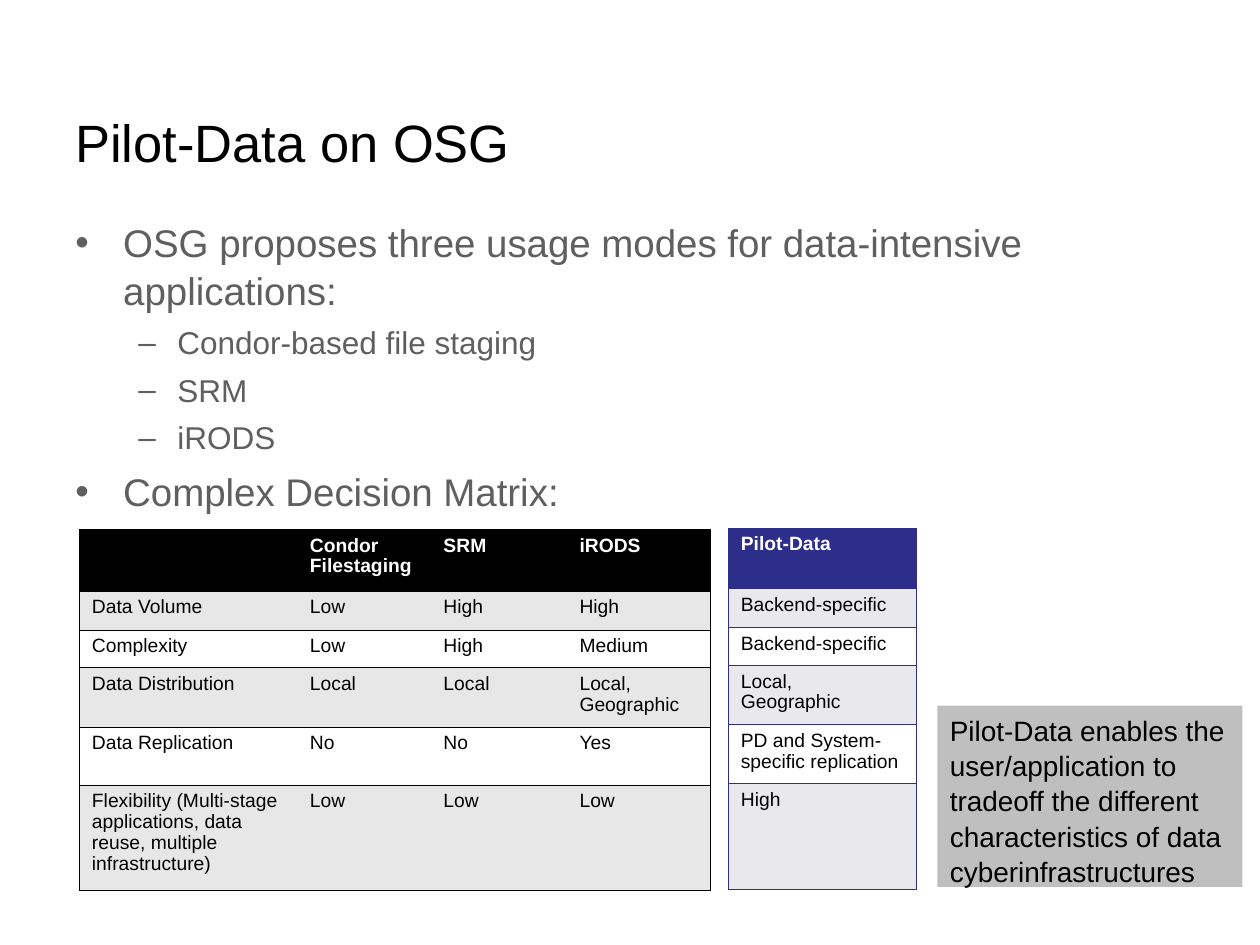
from dataclasses import dataclass

from lxml.etree import SubElement
from pptx import Presentation
from pptx.dml.color import RGBColor
from pptx.enum.shapes import MSO_SHAPE
from pptx.enum.text import MSO_ANCHOR, PP_ALIGN
from pptx.oxml.ns import qn
from pptx.slide import Slide
from pptx.text.text import TextFrame, _Paragraph as Paragraph
from pptx.util import Inches, Pt

BLACK = RGBColor(0x00, 0x00, 0x00)
WHITE = RGBColor(0xFF, 0xFF, 0xFF)
BODY_GRAY = RGBColor(0x5F, 0x5F, 0x5F)
CALLOUT_GRAY = RGBColor(0xBF, 0xBF, 0xBF)
BAND_GRAY = RGBColor(0xE7, 0xE7, 0xE7)
NAVY = RGBColor(0x2D, 0x2D, 0x8A)
BAND_LILAC = RGBColor(0xE8, 0xE8, 0xED)
FONT = "Arial"
LOOSE, TIGHT = 1.05, 0.97
BORDER_WIDTH = Pt(0.45)
PLAIN_TABLE_STYLE = "{2D5ABB26-0587-4C30-8999-92F81FD0307C}"


@dataclass(frozen=True)
class Level:
    bullet: str
    size: float
    margin: float
    hanging: float
    space_before: float


@dataclass(frozen=True)
class Grid:
    left: float
    top: float
    columns: list[float]
    heights: list[float]
    accent: RGBColor
    band: RGBColor
    rows: list[list[str]]


MAIN = Level("•", 22, 0.38, 0.38, 5.5)
SUB = Level("–", 18, 0.81, 0.31, 4.5)

BULLETS = [
    (MAIN, "OSG proposes three usage modes for data-intensive applications:"),
    (SUB, "Condor-based file staging"),
    (SUB, "SRM"),
    (SUB, "iRODS"),
    (MAIN, "Complex Decision Matrix:"),
]

DECISION_MATRIX = Grid(
    0.63, 4.2, [1.73, 1.06, 1.08, 1.14], [0.49, 0.31, 0.3, 0.47, 0.46, 0.84],
    BLACK, BAND_GRAY,
    [
        ["", "Condor\nFilestaging", "SRM", "iRODS"],
        ["Data Volume", "Low", "High", "High"],
        ["Complexity", "Low", "High", "Medium"],
        ["Data Distribution", "Local", "Local", "Local, Geographic"],
        ["Data Replication", "No", "No", "Yes"],
        ["Flexibility (Multi-stage applications, data reuse, multiple infrastructure)",
         "Low", "Low", "Low"],
    ],
)

PILOT_DATA = Grid(
    5.78, 4.19, [1.49], [0.48, 0.31, 0.3, 0.47, 0.47, 0.84],
    NAVY, BAND_LILAC,
    [["Pilot-Data"], ["Backend-specific"], ["Backend-specific"],
     ["Local,\vGeographic"], ["PD and System-specific replication"], ["High"]],
)


def style(para: Paragraph, size: float, color: RGBColor,
          spacing: float = LOOSE, bold: bool = False) -> None:
    para.alignment = PP_ALIGN.LEFT
    para.line_spacing = spacing
    para.font.name = FONT
    para.font.size = Pt(size)
    para.font.bold = bold
    para.font.color.rgb = color


def add_text_box(page: Slide, left: float, top: float,
                 width: float, height: float) -> TextFrame:
    box = page.shapes.add_textbox(Inches(left), Inches(top), Inches(width), Inches(height))
    box.text_frame.word_wrap = True
    return box.text_frame


def add_title(page: Slide) -> None:
    frame = add_text_box(page, 0.5, 0.67, 9, 0.88)
    frame.vertical_anchor = MSO_ANCHOR.MIDDLE
    frame.text = "Pilot-Data on OSG"
    style(frame.paragraphs[0], 30, BLACK)


def add_bullets(page: Slide) -> None:
    frame = add_text_box(page, 0.5, 1.67, 9, 4.96)
    for index, (level, text) in enumerate(BULLETS):
        para = frame.add_paragraph() if index else frame.paragraphs[0]
        para.text = text
        if index:
            para.space_before = Pt(level.space_before)
        para.level = 1 if level is SUB else 0
        para.line_spacing = LOOSE
        properties = para._p.get_or_add_pPr()
        properties.set("marL", str(Inches(level.margin)))
        properties.set("indent", str(-Inches(level.hanging)))
        SubElement(properties, qn("a:buFont"), typeface=FONT)
        SubElement(properties, qn("a:buChar"), char=level.bullet)
        style(para, level.size, BODY_GRAY)


def add_border(properties, side: str, color: RGBColor) -> None:
    line = SubElement(properties, qn(f"a:{side}"), w=str(BORDER_WIDTH))
    fill = SubElement(line, qn("a:solidFill"))
    SubElement(fill, qn("a:srgbClr"), val=str(color))


def add_grid(page: Slide, grid: Grid) -> None:
    frame = page.shapes.add_table(
        len(grid.rows), len(grid.columns), Inches(grid.left), Inches(grid.top),
        Inches(sum(grid.columns)), Inches(sum(grid.heights)))
    table = frame.table
    table._tbl.tblPr.find(qn("a:tableStyleId")).text = PLAIN_TABLE_STYLE
    for column, width in zip(table.columns, grid.columns):
        column.width = Inches(width)
    last = len(grid.columns) - 1
    for r, (texts, height) in enumerate(zip(grid.rows, grid.heights)):
        table.rows[r].height = Inches(height)
        header = r == 0
        fill = grid.accent if header else grid.band if r % 2 else WHITE
        for c, text in enumerate(texts):
            cell = table.cell(r, c)
            cell.text = text
            for para in cell.text_frame.paragraphs:
                style(para, 11, WHITE if header else BLACK, TIGHT, header)
            properties = cell._tc.get_or_add_tcPr()
            sides = ["lnL"] * (c == 0) + ["lnR"] * (c == last) + ["lnT", "lnB"]
            for side in sides:
                add_border(properties, side, grid.accent)
            cell.fill.solid()
            cell.fill.fore_color.rgb = fill


def add_callout(page: Slide) -> None:
    box = page.shapes.add_shape(MSO_SHAPE.RECTANGLE, Inches(7.44), Inches(5.6),
                                Inches(2.42), Inches(1.44))
    box.shadow.inherit = False
    box.fill.solid()
    box.fill.fore_color.rgb = CALLOUT_GRAY
    box.line.fill.background()
    frame = box.text_frame
    frame.word_wrap = True
    frame.vertical_anchor = MSO_ANCHOR.TOP
    frame.text = ("Pilot-Data enables the user/application to tradeoff the different "
                  "characteristics of data cyberinfrastructures")
    style(frame.paragraphs[0], 16, BLACK)


def main() -> None:
    deck = Presentation()
    deck.slide_width, deck.slide_height = Inches(10), Inches(7.5)
    page = deck.slides.add_slide(deck.slide_layouts[6])
    add_title(page)
    add_bullets(page)
    add_grid(page, DECISION_MATRIX)
    add_callout(page)
    add_grid(page, PILOT_DATA)
    deck.save("out.pptx")


if __name__ == "__main__":
    main()
